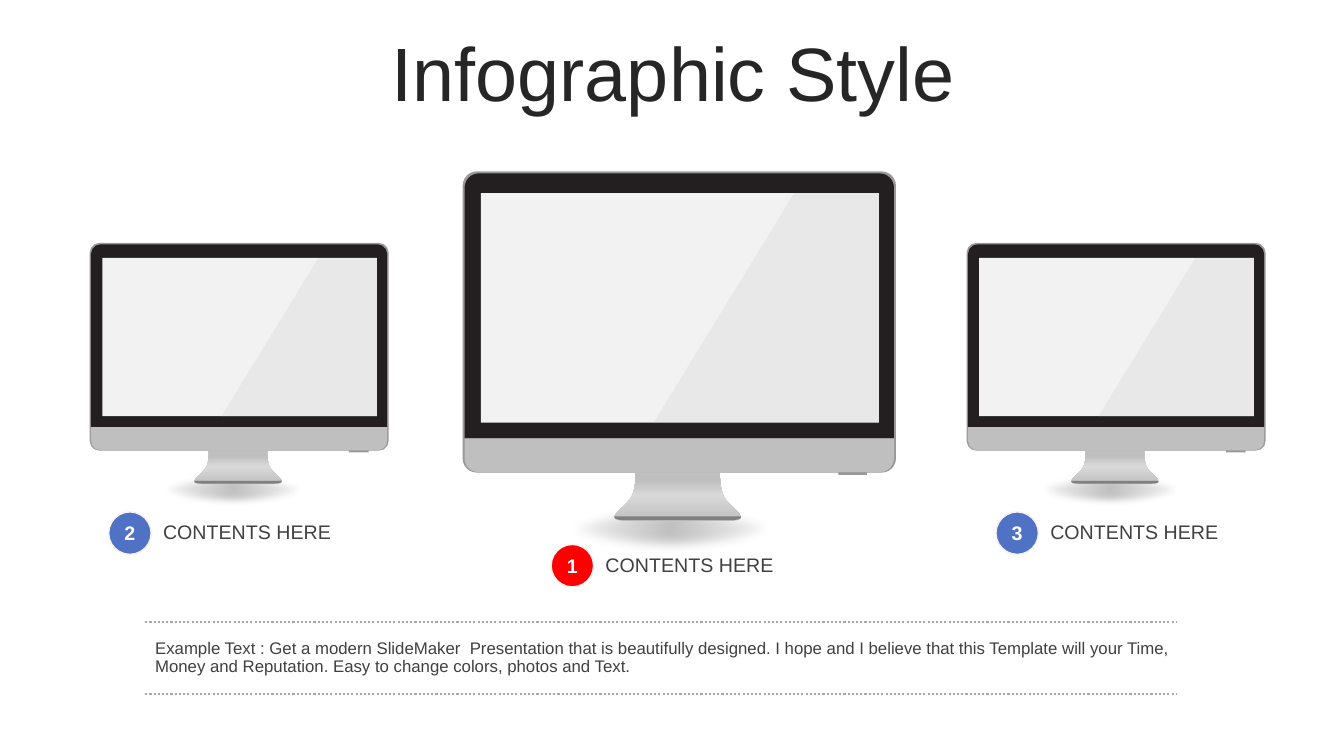
from dataclasses import dataclass

from lxml import etree
from pptx import Presentation
from pptx.dml.color import RGBColor
from pptx.enum.dml import MSO_LINE
from pptx.enum.shapes import MSO_CONNECTOR, MSO_SHAPE
from pptx.enum.text import MSO_ANCHOR, PP_ALIGN
from pptx.oxml import parse_xml
from pptx.oxml.ns import nsdecls, qn
from pptx.util import Cm, Pt

OVAL, RECT = MSO_SHAPE.OVAL, MSO_SHAPE.RECTANGLE
ROUND, ROUND_TWO = MSO_SHAPE.ROUNDED_RECTANGLE, MSO_SHAPE.ROUND_2_SAME_RECTANGLE
STRAIGHT, DOTS = MSO_CONNECTOR.STRAIGHT, MSO_LINE.ROUND_DOT
LEFT, CENTER, MIDDLE = PP_ALIGN.LEFT, PP_ALIGN.CENTER, MSO_ANCHOR.MIDDLE

Point = tuple[float, float]
Box = tuple[float, float, float, float]


@dataclass
class Part:
    kind: int
    box: Box
    color: str
    round: tuple[float, ...] = ()


@dataclass
class Screen:
    left: float
    top: float
    scale: float
    badge: Point
    number: str
    color: str


# Monitor geometry in cm at full scale, from the top left of the case.
AXIS = 5.42
RADIUS = 0.36
PARTS = [
    Part(ROUND, (0, 0, 10.92, 7.59), "999999", (RADIUS / 7.59,)),
    Part(RECT, (9.47, 7.57, 0.72, 0.08), "999999"),
    Part(ROUND_TWO, (0.05, 0.05, 10.82, 6.68), "231F20", (RADIUS / 6.68, 0)),
    Part(ROUND_TWO, (0.05, 6.73, 10.82, 0.85), "BFBFBF", (0, RADIUS / 0.85)),
    Part(RECT, (0.46, 0.55, 10.03, 5.78), "F2F2F2"),
]
HALO = (2.34, 8.38, 5.8, 1.24)
GLARE = [(8.36, 0.54), (10.5, 0.54), (10.5, 6.35), (4.8, 6.35)]
METAL = [(0, "BFBFBF", 100), (53, "D9D9D9", 100), (83, "BFBFBF", 100), (100, "BFBFBF", 100)]
SHADE = [(0, "808080", 50), (100, "808080", 0)]

SCREENS = [
    Screen(2.26, 6.12, 0.69, (2.74, 12.9), "2", "5072C4"),
    Screen(24.36, 6.12, 0.69, (25.1, 12.9), "3", "5072C4"),
    Screen(11.66, 4.32, 1, (13.89, 13.72), "1", "FF0000"),
]
NOTE = (
    "Example Text : Get a modern SlideMaker  Presentation that is beautifully designed. "
    "I hope and I believe that this Template will your Time, Money and Reputation. "
    "Easy to change colors, photos and Text."
)

deck = Presentation()
deck.slide_width, deck.slide_height = Cm(33.87), Cm(19.05)
shapes = deck.slides.add_slide(deck.slide_layouts[6]).shapes


def rgb(code: str) -> RGBColor:
    return RGBColor.from_string(code)


def paint(shape, color: str) -> None:
    shape.shadow.inherit = False
    shape.fill.solid()
    shape.fill.fore_color.rgb = rgb(color)
    shape.line.fill.background()


def blend(shape, stops: list, tail: str) -> None:
    """Replace the solid fill by a gradient of (percent, colour, opacity) stops."""
    marks = "".join(
        f'<a:gs pos="{pos * 1000}"><a:srgbClr val="{code}">'
        f'<a:alpha val="{alpha * 1000}"/></a:srgbClr></a:gs>'
        for pos, code, alpha in stops
    )
    props = shape.fill._xPr
    props.replace(
        props.find(qn("a:solidFill")),
        parse_xml(f'<a:gradFill {nsdecls("a")}><a:gsLst>{marks}</a:gsLst>{tail}</a:gradFill>'),
    )


def curve(a: Point, b: Point, c: Point, d: Point, steps: int = 10) -> list[Point]:
    """Points of a cubic Bezier, without its start."""
    points = []
    for step in range(1, steps + 1):
        t = step / steps
        u = 1 - t
        points.append(tuple(
            u**3 * p + 3 * u * u * t * q + 3 * u * t * t * r + t**3 * s
            for p, q, r, s in zip(a, b, c, d)
        ))
    return points


def mirror(half: list[Point]) -> list[Point]:
    return half + [(2 * AXIS - x, y) for x, y in reversed(half)]


NECK, HEEL, SOLE = (6.48, 7.59), (6.71, 8.36), (6.68, 8.81)
STAND = mirror(
    [NECK]
    + curve(NECK, (6.48, 8.1), (6.6, 8.25), HEEL)
    + curve(HEEL, (6.93, 8.58), (7.29, 8.81), SOLE)
)
EDGE = (7.01, 8.69)
BASE = mirror([EDGE] + curve(EDGE, (7.04, 8.76), (6.93, 8.79), (6.68, 8.79)))


def preset(part: Part, left: float = 0, top: float = 0, scale: float = 1):
    x, y, w, h = (scale * size for size in part.box)
    shape = shapes.add_shape(part.kind, Cm(left + x), Cm(top + y), Cm(w), Cm(h))
    for index, value in enumerate(part.round):
        shape.adjustments[index] = value
    paint(shape, part.color)
    return shape


def outline(points: list[Point], color: str, screen: Screen):
    spots = [
        (Cm(screen.left + screen.scale * x), Cm(screen.top + screen.scale * y))
        for x, y in points
    ]
    pen = shapes.build_freeform(*spots[0])
    pen.add_line_segments(spots[1:])
    shape = pen.convert_to_shape()
    paint(shape, color)
    return shape


def write(shape, text: str, align: int, **form) -> None:
    frame = shape.text_frame
    frame.word_wrap, frame.vertical_anchor = True, MIDDLE
    para = frame.paragraphs[0]
    para.alignment = align
    run = para.add_run()
    run.text = text
    run.font.color.rgb = rgb(form.pop("color"))
    for name, value in {"name": "Arial", **form}.items():
        setattr(run.font, name, value)


def label(box: Box, text: str, align: int = LEFT, **form) -> None:
    shape = shapes.add_textbox(*map(Cm, box))
    write(shape, text, align, **form)
    para = shape.text_frame.paragraphs[0]
    para.line_spacing, para.space_before = 0.9, Pt(10)


def draw(screen: Screen) -> None:
    place = (screen.left, screen.top, screen.scale)
    halo = preset(Part(OVAL, HALO, "808080"), *place)
    center = '<a:fillToRect l="50000" t="50000" r="50000" b="50000"/>'
    blend(halo, SHADE, f'<a:path path="circle">{center}</a:path>')
    effects = halo._element.spPr.find(qn("a:effectLst"))
    etree.SubElement(effects, qn("a:softEdge"), rad=str(Cm(0.25 * screen.scale)))

    blend(outline(STAND, "BFBFBF", screen), METAL, '<a:lin ang="16200000" scaled="0"/>')
    outline(BASE, "808080", screen)
    for part in PARTS:
        preset(part, *place)
    glare = outline(GLARE, "999999", screen)
    tint = glare.fill._xPr.find(qn("a:solidFill"))[0]
    etree.SubElement(tint, qn("a:alpha"), val="10000")

    x, y = screen.badge
    badge = preset(Part(OVAL, (x, y, 1.07, 1.07), screen.color))
    badge.line.color.rgb, badge.line.width = rgb("F2F2F2"), Pt(1)
    frame = badge.text_frame
    for side in ("left", "right", "top", "bottom"):
        setattr(frame, f"margin_{side}", 0)
    write(badge, screen.number, CENTER, size=Pt(14), bold=True, color="FFFFFF")
    label((x + 1.12, y + 0.04, 5.15, 0.99), "CONTENTS HERE", size=Pt(14), color="404040")


def rule(y: float) -> None:
    line = shapes.add_connector(STRAIGHT, Cm(3.66), Cm(y), Cm(29.64), Cm(y))
    line.line.color.rgb = rgb("A6A6A6")
    line.line.width, line.line.dash_style = Pt(1.5), DOTS
    etree.SubElement(line._element.spPr, qn("a:effectLst"))


label((0.89, 0.94, 32.16, 2.01), "Infographic Style", CENTER, size=Pt(54), color="262626")
for screen in SCREENS:
    draw(screen)
for y in (15.67, 17.48):
    rule(y)
label((3.66, 15.9, 26.75, 1.37), NOTE, size=Pt(12), color="404040")

deck.save("out.pptx")
